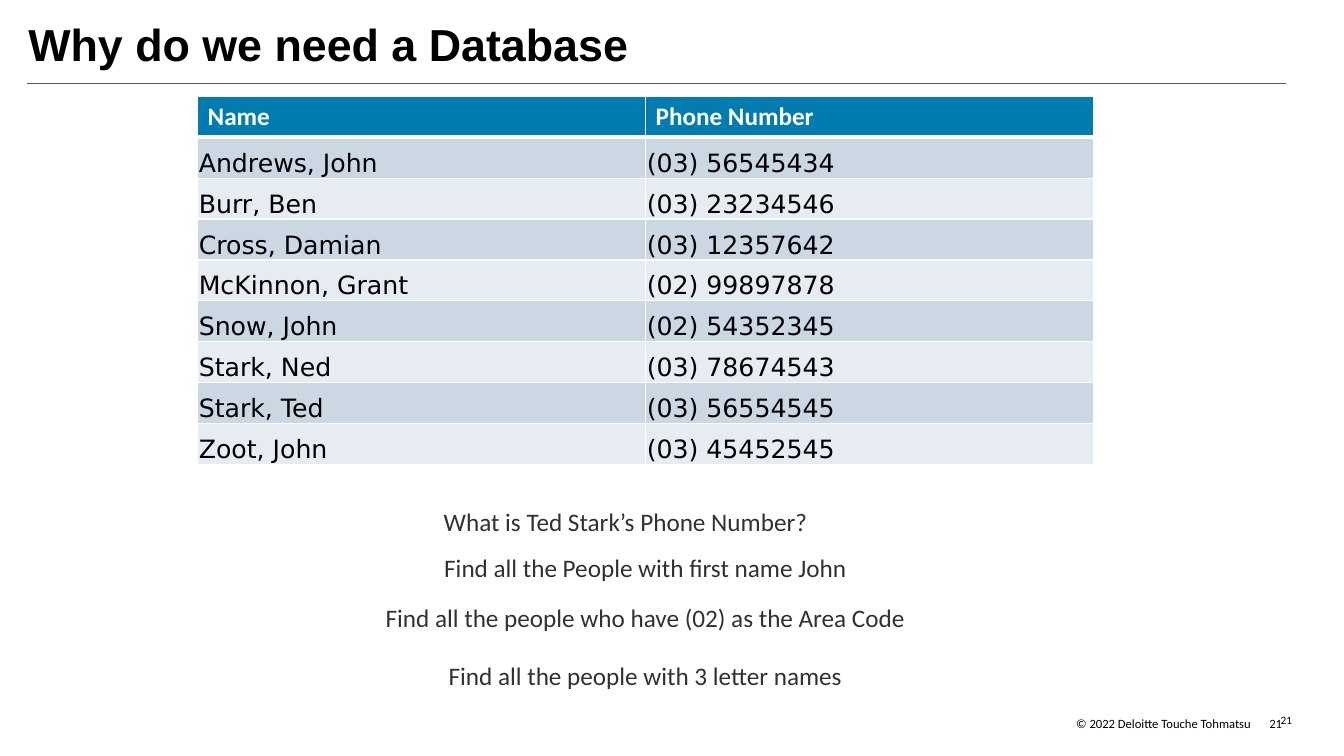
"""Build the slide that motivates databases with a small phone list."""
from dataclasses import dataclass

from lxml import etree
from pptx import Presentation
from pptx.dml.color import RGBColor
from pptx.enum.shapes import MSO_CONNECTOR
from pptx.enum.text import MSO_ANCHOR, MSO_AUTO_SIZE, PP_ALIGN
from pptx.oxml.ns import qn
from pptx.util import Cm, Pt

LEFT, CENTER, RIGHT = PP_ALIGN.LEFT, PP_ALIGN.CENTER, PP_ALIGN.RIGHT
TOP, MIDDLE, BOTTOM = MSO_ANCHOR.TOP, MSO_ANCHOR.MIDDLE, MSO_ANCHOR.BOTTOM
NO_FIT = MSO_AUTO_SIZE.NONE
STRAIGHT = MSO_CONNECTOR.STRAIGHT


@dataclass(frozen=True)
class Theme:
    """Colours, fonts and type sizes of the slide."""
    black: str = "000000"
    white: str = "FFFFFF"
    body: str = "313131"
    rule: str = "53565A"
    header: str = "007CB0"
    bands: tuple = ("CCD7E4", "E7ECF2")
    title_font: str = "Arial"
    body_font: str = "Calibri"
    data_font: str = "DejaVu Sans"
    title_size: float = 32
    body_size: float = 18
    footer_size: float = 9
    page_size: float = 8


@dataclass(frozen=True)
class Label:
    """A text box, with its place in centimetres."""
    text: str
    left: float
    top: float
    width: float
    height: float
    size: float
    color: str
    align: PP_ALIGN


THEME = Theme()
QUESTIONS = [
    ("What is Ted Stark’s Phone Number?", 8.31, 12.75),
    ("Find all the People with first name John", 8.81, 13.92),
    ("Find all the people who have (02) as the Area Code", 8.81, 15.19),
    ("Find all the people with 3 letter names", 8.81, 16.64),
]
LABELS = [
    Label("21", 31.7, 17.98, 0.86, 0.33, THEME.page_size, THEME.black, RIGHT),
    Label("© 2022 Deloitte Touche Tohmatsu", 22.33, 18.03, 9.19, 0.38,
          THEME.footer_size, THEME.black, RIGHT),
    Label("21", 31.45, 18.03, 0.86, 0.38, THEME.footer_size, THEME.black, RIGHT),
] + [
    Label(text, left, top, 14.91, 0.76, THEME.body_size, THEME.body, CENTER)
    for text, left, top in QUESTIONS
]
PHONE_LIST = [
    ("Name", "Phone Number"),
    ("Andrews, John", "(03) 56545434"),
    ("Burr, Ben", "(03) 23234546"),
    ("Cross, Damian", "(03) 12357642"),
    ("McKinnon, Grant", "(02) 99897878"),
    ("Snow, John", "(02) 54352345"),
    ("Stark, Ned", "(03) 78674543"),
    ("Stark, Ted", "(03) 56554545"),
    ("Zoot, John", "(03) 45452545"),
]


def write(tf, text: str, *, size: float, color: str, font: str = THEME.body_font,
          bold: bool = False, align: PP_ALIGN = LEFT) -> None:
    """Put one formatted paragraph into a text frame."""
    p = tf.paragraphs[0]
    p.alignment = align
    r = p.add_run()
    r.text = text
    r.font.name, r.font.size, r.font.bold = font, Pt(size), bold
    r.font.color.rgb = RGBColor.from_string(color)


def add_title(s, text: str) -> None:
    """Place and format the title placeholder."""
    sp = s.shapes.title
    sp.left, sp.top, sp.width, sp.height = Cm(0.46), Cm(0.28), Cm(16.94), Cm(1.63)
    tf = sp.text_frame
    tf.auto_size, tf.vertical_anchor = NO_FIT, MIDDLE
    write(tf, text, size=THEME.title_size, color=THEME.black,
          font=THEME.title_font, bold=True)


def add_rule(s) -> None:
    """Draw the line under the title."""
    sp = s.shapes.add_connector(STRAIGHT, Cm(0.69), Cm(2.11), Cm(32.41), Cm(2.11))
    sp.line.color.rgb = RGBColor.from_string(THEME.rule)
    sp.line.width = Pt(0.75)
    etree.SubElement(sp._element.spPr, qn("a:effectLst"))


def add_label(s, label: Label) -> None:
    """Add a text box without insets."""
    sp = s.shapes.add_textbox(Cm(label.left), Cm(label.top),
                              Cm(label.width), Cm(label.height))
    tf = sp.text_frame
    tf.word_wrap = True
    tf.margin_left = tf.margin_right = tf.margin_top = tf.margin_bottom = 0
    write(tf, label.text, size=label.size, color=label.color, align=label.align)


def set_borders(cell, top: float, bottom: float) -> None:
    """Give a cell white borders, with top and bottom widths in points."""
    tc_pr = cell._tc.get_or_add_tcPr()
    for side, width in (("L", 1), ("R", 1), ("T", top), ("B", bottom)):
        ln = etree.SubElement(tc_pr, qn(f"a:ln{side}"), w=str(Pt(width)))
        fill = etree.SubElement(ln, qn("a:solidFill"))
        etree.SubElement(fill, qn("a:srgbClr"), val=THEME.white)


def format_cell(cell, text: str, row: int) -> None:
    """Fill one cell as header or as banded data."""
    header = row == 0
    set_borders(cell, 3 if row == 1 else 1, 3 if header else 1)
    cell.fill.solid()
    color = THEME.header if header else THEME.bands[(row - 1) % 2]
    cell.fill.fore_color.rgb = RGBColor.from_string(color)
    cell.vertical_anchor = TOP if header else BOTTOM
    if not header:
        cell.margin_left = cell.margin_right = cell.margin_top = Cm(0.03)
        cell.margin_bottom = 0
    write(cell.text_frame, text, size=THEME.body_size, bold=header,
          color=THEME.white if header else THEME.black,
          font=THEME.body_font if header else THEME.data_font)


def add_phone_table(s) -> None:
    """Add the table of names and phone numbers."""
    rows, cols = len(PHONE_LIST), len(PHONE_LIST[0])
    table = s.shapes.add_table(rows, cols, Cm(4.98), Cm(2.43),
                               Cm(11.29 * cols), Cm(1.03 * rows)).table
    table.first_row = table.horz_banding = False
    for i, entry in enumerate(PHONE_LIST):
        table.rows[i].height = Cm(1.03)
        for j, text in enumerate(entry):
            format_cell(table.cell(i, j), text, i)


def main() -> None:
    """Build and save the presentation."""
    prs = Presentation()
    prs.slide_width, prs.slide_height = Cm(33.87), Cm(19.05)
    s = prs.slides.add_slide(prs.slide_layouts.get_by_name("Title Only"))
    add_title(s, "Why do we need a Database")
    add_rule(s)
    add_phone_table(s)
    for label in LABELS:
        add_label(s, label)
    prs.save("out.pptx")


if __name__ == "__main__":
    main()
